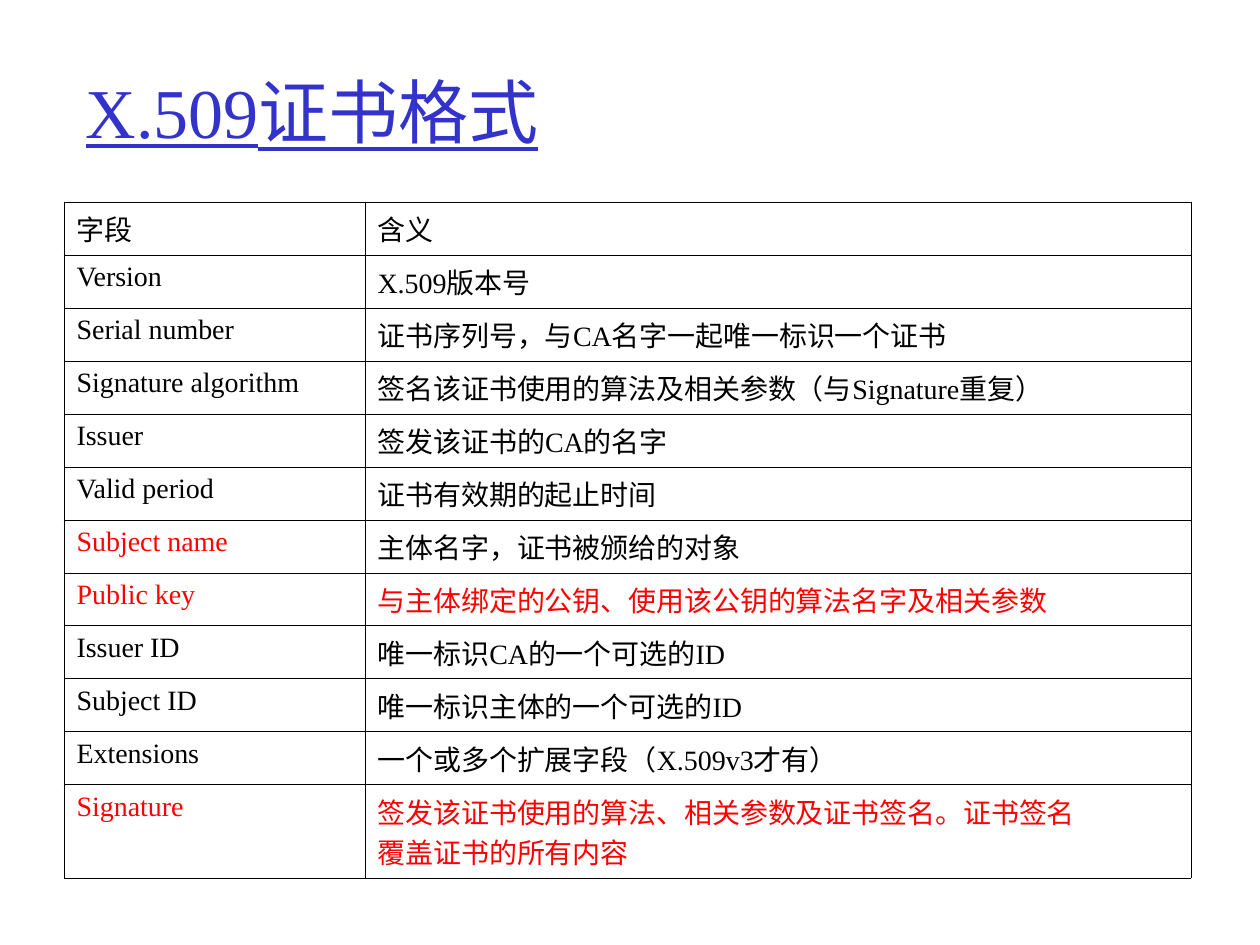
import pptx
import pptx.dml.color
import pptx.enum.text
import pptx.oxml
import pptx.oxml.ns
import pptx.util

PX = pptx.util.Inches(1) // 126
FONT = "Times New Roman"
BLACK, RED, BLUE = "000000", "FF0000", "3333CC"

# field, field colour, meaning lines, meaning colour
FIELDS = [
    ("字段", BLACK, ["含义"], BLACK),
    ("Version", BLACK, ["X.509版本号"], BLACK),
    ("Serial number", BLACK, ["证书序列号，与CA名字一起唯一标识一个证书"], BLACK),
    ("Signature algorithm", BLACK,
     ["签名该证书使用的算法及相关参数（与Signature重复）"], BLACK),
    ("Issuer", BLACK, ["签发该证书的CA的名字"], BLACK),
    ("Valid period", BLACK, ["证书有效期的起止时间"], BLACK),
    ("Subject name", RED, ["主体名字，证书被颁给的对象"], BLACK),
    ("Public key", RED, ["与主体绑定的公钥、使用该公钥的算法名字及相关参数"], RED),
    ("Issuer ID", BLACK, ["唯一标识CA的一个可选的ID"], BLACK),
    ("Subject ID", BLACK, ["唯一标识主体的一个可选的ID"], BLACK),
    ("Extensions", BLACK, ["一个或多个扩展字段（X.509v3才有）"], BLACK),
    ("Signature", RED,
     ["签发该证书使用的算法、相关参数及证书签名。证书签名", "覆盖证书的所有内容"], RED),
]


def px(length):
    return pptx.util.Emu(length * PX)


def rgb(hex_colour):
    return pptx.dml.color.RGBColor.from_string(hex_colour)


class CertificateSlide:
    def __init__(self, slide):
        self.slide = slide

    def run(self, paragraph, text, size, colour, underline=None):
        run = paragraph.add_run()
        run.text = text
        run.font.name = FONT
        run.font.size = pptx.util.Pt(size)
        run.font.color.rgb = rgb(colour)
        run.font.underline = underline

    def title(self, text, left, top, width, height):
        title = self.slide.shapes.title
        title.left, title.top = px(left), px(top)
        title.width, title.height = px(width), px(height)
        title.text_frame.vertical_anchor = pptx.enum.text.MSO_ANCHOR.MIDDLE
        heading = title.text_frame.paragraphs[0]
        heading.alignment = pptx.enum.text.PP_ALIGN.LEFT
        self.run(heading, text, 40, BLUE, underline=True)

    def borders(self, cell, colour, points):
        properties = cell._tc.get_or_add_tcPr()
        for side in ("lnL", "lnR", "lnT", "lnB"):
            properties.append(pptx.oxml.parse_xml(
                f'<a:{side} {pptx.oxml.ns.nsdecls("a")} w="{pptx.util.Pt(points)}">'
                f'<a:solidFill><a:srgbClr val="{colour}"/></a:solidFill></a:{side}>'))

    def cell(self, cell, lines, colour):
        self.borders(cell, BLACK, 0.45)
        cell.fill.background()
        frame = cell.text_frame
        for index, line in enumerate(lines):
            paragraph = frame.add_paragraph() if index else frame.paragraphs[0]
            properties = paragraph._p.get_or_add_pPr()
            properties.set("marL", str(px(48)))
            properties.set("indent", str(-px(48)))
            self.run(paragraph, line, 16, colour)

    def table(self, fields, left, top, column_widths, row_height, last_height):
        heights = [row_height] * (len(fields) - 1) + [last_height]
        table = self.slide.shapes.add_table(
            len(fields), len(column_widths), px(left), px(top),
            px(sum(column_widths)), px(sum(heights))).table
        table.first_row = table.horz_banding = False
        for column, width in zip(table.columns, column_widths):
            column.width = px(width)
        for row, height, (field, field_colour, meaning, meaning_colour) in zip(
                table.rows, heights, fields):
            row.height = px(height)
            self.cell(row.cells[0], [field], field_colour)
            self.cell(row.cells[1], meaning, meaning_colour)


def main():
    deck = pptx.Presentation()
    deck.slide_width, deck.slide_height = px(1260), px(945)
    title_only = deck.slide_layouts[5]
    page = CertificateSlide(deck.slides.add_slide(title_only))
    page.title("X.509证书格式", 73, 32, 1071, 157)
    page.table(FIELDS, 64, 202, [301, 826], 50, 88)
    deck.save("out.pptx")


if __name__ == "__main__":
    main()
